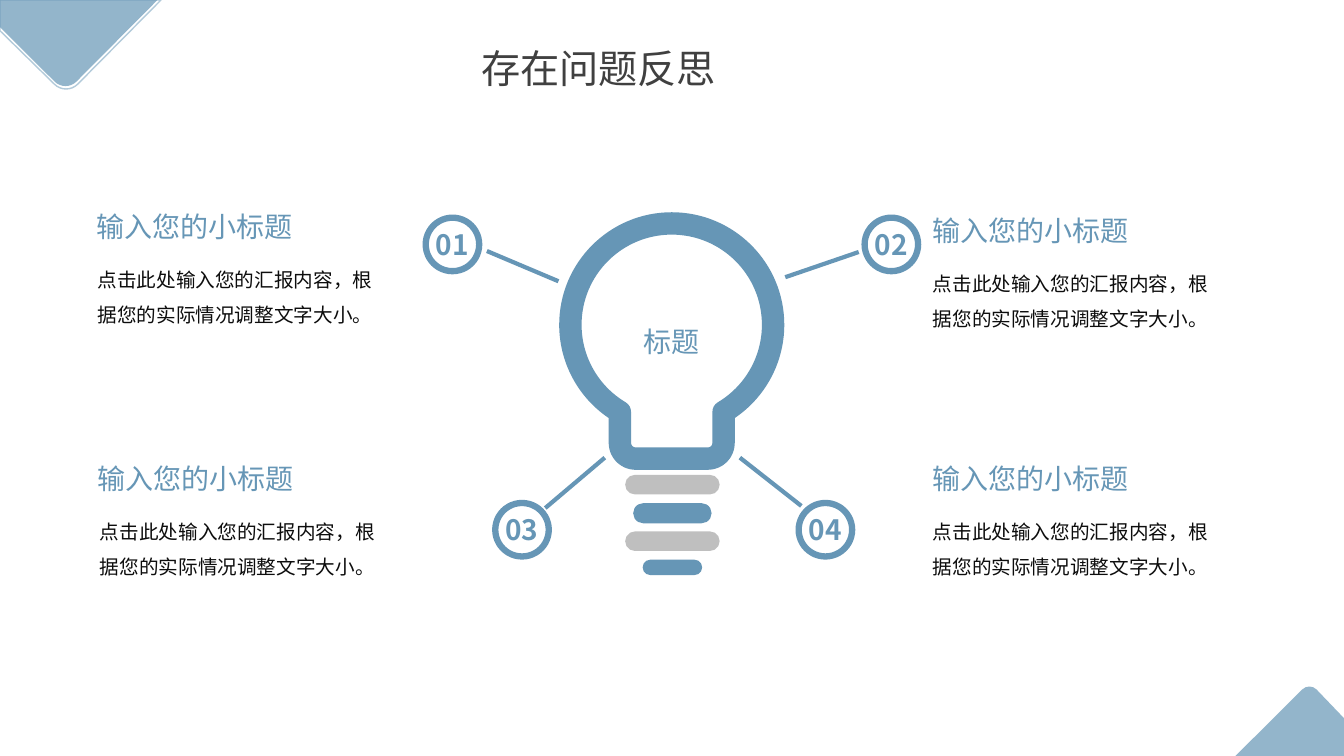
from math import cos, radians, sin, tan

from pptx import Presentation
from pptx.dml.color import RGBColor
from pptx.enum import shapes, text
from pptx.oxml import xmlchemy as x
from pptx.util import Pt

BLUE, GREY, BODY, TITLE = "6696B6", "BFBFBF", "0D0D0D", "404040"
FONT = "Noto Sans CJK SC"
CENTER, JUSTIFY = text.PP_ALIGN.CENTER, text.PP_ALIGN.JUSTIFY
SUBTITLE = "输入您的小标题"
CONTENT = "点击此处输入您的汇报内容，根据您的实际情况调整文字大小。"


def color(value):
    return RGBColor.from_string(value)


def on_circle(cx, cy, radius, angle):
    return cx + radius * cos(radians(angle)), cy + radius * sin(radians(angle))


def arc(cx, cy, radius, start, end):
    reach = radius * 4 / 3 * tan(radians(end - start) / 4)
    first = on_circle(cx, cy, radius, start)
    last = on_circle(cx, cy, radius, end)
    return [on_circle(*first, reach, start + 90), on_circle(*last, -reach, end + 90), last]


def add_xml(parent, tag, **attributes):
    child = x.OxmlElement(tag)
    for name, value in attributes.items():
        child.set(name, str(value))
    parent.append(child)


def write(tf, words, size=20, fill=BLUE, bold=False, align=None, spacing=None):
    p = tf.paragraphs[0]
    p.alignment = align
    p.line_spacing = spacing
    r = p.add_run()
    r.text = words
    r.font.size, r.font.bold, r.font.name = Pt(size), bold, FONT
    r.font.color.rgb = color(fill)
    add_xml(r.font._element, "a:ea", typeface=FONT)


class Canvas:
    def __init__(self, s):
        self.s = s

    def paint(self, sp, fill=None, line=None, width=1, opacity=100):
        sp.shadow.inherit = False
        if fill:
            sp.fill.solid()
            sp.fill.fore_color.rgb = color(fill)
        else:
            sp.fill.background()
        if line:
            sp.line.color.rgb = color(line)
            sp.line.width = Pt(width)
            add_xml(sp.line._get_or_add_ln(), "a:round")
        else:
            sp.line.fill.background()
        if opacity < 100:
            for paint in sp._element.spPr.xpath(".//a:srgbClr"):
                add_xml(paint, "a:alpha", val=opacity * 1000)
        return sp

    def outline(self, start, *segments, **style):
        builder = self.s.shapes.build_freeform(*[Pt(v) for v in start])
        points = [(Pt(px), Pt(py)) for segment in segments for px, py in segment]
        builder.add_line_segments(points, close=True)
        sp = builder.convert_to_shape()
        steps = iter(sp._element.spPr.xpath(".//a:lnTo"))
        for segment in segments:
            group = [next(steps) for _ in segment]
            if len(group) == 3:
                curve = x.OxmlElement("a:cubicBezTo")
                group[0].addprevious(curve)
                for step in group:
                    curve.append(step[0])
                    step.getparent().remove(step)
        return self.paint(sp, **style)

    def pill(self, left, top, width, height, fill):
        kind = shapes.MSO_SHAPE.ROUNDED_RECTANGLE
        sp = self.s.shapes.add_shape(kind, Pt(left), Pt(top), Pt(width), Pt(height))
        sp.adjustments[0] = 0.5
        self.paint(sp, fill=fill)

    def badge(self, left, top, number):
        kind = shapes.MSO_SHAPE.OVAL
        sp = self.s.shapes.add_shape(kind, Pt(left), Pt(top), Pt(38.2), Pt(38.2))
        self.paint(sp, line=BLUE, width=4.5)
        tf = sp.text_frame
        tf.margin_left = tf.margin_right = tf.margin_top = tf.margin_bottom = 0
        write(tf, number, bold=True, align=CENTER)

    def connect(self, start, end):
        kind = shapes.MSO_CONNECTOR.STRAIGHT
        sp = self.s.shapes.add_connector(kind, *[Pt(v) for v in start + end])
        sp.line.color.rgb = color(BLUE)
        sp.line.width = Pt(3)
        add_xml(sp._element.spPr, "a:effectLst")

    def label(self, left, top, width, height, words, **style):
        sp = self.s.shapes.add_textbox(Pt(left), Pt(top), Pt(width), Pt(height))
        tf = sp.text_frame
        tf.word_wrap = True
        tf.auto_size = text.MSO_AUTO_SIZE.SHAPE_TO_FIT_TEXT
        write(tf, words, **style)


def draw_bulb(canvas):
    globe = (479.85, 232, 72.4)
    neck = 59.2
    bulb = canvas.outline(
        on_circle(*globe, 270),
        arc(*globe, 270, 360),
        arc(*globe, 360, 360 + neck),
        [(516.9, 316.4)],
        arc(505.7, 316.4, 11.2, 0, 90),
        [(454, 327.6)],
        arc(454, 316.4, 11.2, 90, 180),
        [on_circle(*globe, 180 - neck)],
        arc(*globe, 180 - neck, 180),
        arc(*globe, 180, 270),
        line=BLUE, width=16)
    bulb.text_frame.vertical_anchor = text.MSO_ANCHOR.MIDDLE
    write(bulb.text_frame, "标题", align=CENTER)
    threads = [(67.5, 14, GREY), (56, 14.4, BLUE), (67.5, 14, GREY), (42.5, 11, BLUE)]
    for i, (width, height, fill) in enumerate(threads):
        canvas.pill(480.3 - width / 2, 339.2 + 20.2 * i, width, height, fill)


def draw_topics(canvas):
    topics = [
        ((304.1, 155.5), (347.8, 179.3), (398.9, 200.9), (61.9, 146.2), 0.7),
        ((617.6, 155.5), (613.4, 180), (560.9, 198), (659.2, 149), 0),
        ((353.8, 359.3), (389.5, 362.9), (432, 326.9), (62.6, 326.2), 1.7),
        ((570.5, 359.3), (572.4, 361.4), (528.5, 326.9), (659.2, 326.2), 0),
    ]
    for i, (badge, start, end, (left, top), indent) in enumerate(topics, 1):
        canvas.badge(*badge, f"{i:02}")
        canvas.connect(start, end)
        canvas.label(left, top, 183, 31.7, SUBTITLE)
        canvas.label(left + indent, top + 33.1, 220, 55.4, CONTENT,
                     size=14, fill=BODY, spacing=1.5)


def draw_corners(canvas):
    tip = (935.3, 497.6, 7.2)
    canvas.outline(on_circle(*tip, 270), arc(*tip, 270, 315),
                   [(960, 513)], [(960, 540)], [(882.5, 540)],
                   [on_circle(*tip, 225)], arc(*tip, 225, 270),
                   fill=BLUE, opacity=70)
    corners = [
        (112.5, 19.4, (46.8, 50.4, 11.1), {"fill": BLUE, "opacity": 70}),
        (115, 22, (47.2, 51.8, 11.8), {"line": BLUE, "opacity": 50}),
    ]
    for right, bottom, tip, style in corners:
        canvas.outline((right, 0), [(0, 0)], [(0, bottom)],
                       [on_circle(*tip, 135)], arc(*tip, 135, 45), **style)


def main():
    prs = Presentation()
    prs.slide_width, prs.slide_height = Pt(960), Pt(540)
    canvas = Canvas(prs.slides.add_slide(prs.slide_layouts[6]))
    draw_bulb(canvas)
    draw_topics(canvas)
    draw_corners(canvas)
    canvas.label(336.5, 28, 286.5, 41.2, "存在问题反思",
                 size=28, fill=TITLE, align=JUSTIFY)
    prs.save("out.pptx")


if __name__ == "__main__":
    main()
